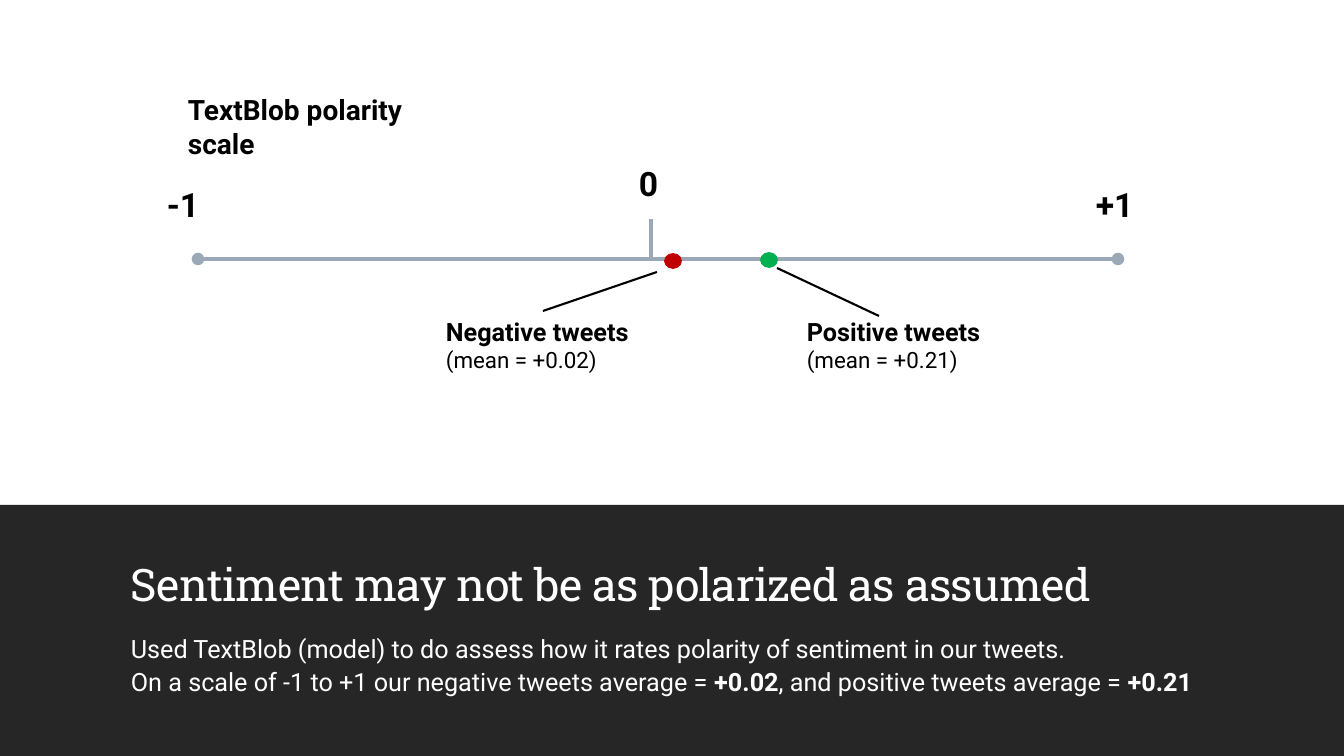
"""Build a slide that places mean tweet sentiment on a polarity scale."""
import lxml.etree
import pptx
import pptx.dml.color
import pptx.enum.shapes
import pptx.enum.text
import pptx.oxml.ns
import pptx.util

PX = 914400 / 100.8
COLORS = {"band": "262626", "light": "FFFFFF", "dark": "000000",
          "axis": "9BA8B7", "negative": "C00000", "positive": "00B050"}
TWEET_GROUPS = [
    {"name": "Negative tweets", "mean": "+0.02", "color": "negative",
     "dot": (508, 166), "label": (279, 223), "leader": (386, 223, 500, 184)},
    {"name": "Positive tweets", "mean": "+0.21", "color": "positive",
     "dot": (604, 165), "label": (640, 223), "leader": (620, 180, 722, 228)},
]


def emu(*lengths):
    """Turn pixel lengths into EMU."""
    return [pptx.util.Emu(round(length * PX)) for length in lengths]


def rgb(name):
    """Look up a named colour."""
    return pptx.dml.color.RGBColor.from_string(COLORS[name])


def add_text(page, box, lines, color="dark", font="Roboto", side=0.1, edge=0.05):
    """Add one paragraph whose lines hold (text, size, bold) spans."""
    frame = page.shapes.add_textbox(*emu(*box)).text_frame
    frame.word_wrap = True
    frame.margin_left = frame.margin_right = pptx.util.Inches(side)
    frame.margin_top = frame.margin_bottom = pptx.util.Inches(edge)
    para = frame.paragraphs[0]
    for index, line in enumerate(lines):
        if index:
            para.add_line_break()
        for text, size, bold in line:
            span = para.add_run()
            span.text = text
            span.font.name = font
            span.font.size = pptx.util.Pt(size)
            span.font.bold = bold
            span.font.color.rgb = rgb(color)
    return frame


def add_solid(page, kind, box, color, outline=0):
    """Add a filled shape with an optional outline in its own colour."""
    shape = page.shapes.add_shape(kind, *emu(*box))
    shape.shadow.inherit = False
    shape.fill.solid()
    shape.fill.fore_color.rgb = rgb(color)
    if outline:
        shape.line.color.rgb = rgb(color)
        shape.line.width = pptx.util.Pt(outline)
    else:
        shape.line.fill.background()


def add_line(page, ends, color, width, oval_ends=False):
    """Add a straight line, with round ends when asked for."""
    line = page.shapes.add_connector(
        pptx.enum.shapes.MSO_CONNECTOR.STRAIGHT, *emu(*ends))
    line.line.color.rgb = rgb(color)
    line.line.width = pptx.util.Pt(width)
    if oval_ends:
        for tag in ("a:headEnd", "a:tailEnd"):
            lxml.etree.SubElement(line.line._get_or_add_ln(),
                                  pptx.oxml.ns.qn(tag), type="oval")
    lxml.etree.SubElement(line._element.spPr, pptx.oxml.ns.qn("a:effectLst"))


def add_polarity_scale(page, box):
    """Draw the axis, its tick labels and the mean of each tweet group."""
    left, top, width, height = box
    axis_y = top + 171
    middle = left + 494
    add_line(page, (left + 41, axis_y, left + width - 39, axis_y), "axis", 3, True)
    add_line(page, (middle, axis_y - 40, middle, axis_y), "axis", 2.25)
    for text, x, y in (("-1", 0, 91), ("+1", width - 71, 91), ("0", 472, 70)):
        add_text(page, (left + x, top + y, 64, 50), [[(text, 24, True)]])
    add_text(page, (left + 21, top, 285, 76),
             [[("TextBlob polarity scale", 20, True)]])
    for group in TWEET_GROUPS:
        dot_x, dot_y = group["dot"]
        label_x, label_y = group["label"]
        x1, y1, x2, y2 = group["leader"]
        add_solid(page, pptx.enum.shapes.MSO_SHAPE.OVAL,
                  (left + dot_x, top + dot_y, 16, 14), group["color"], 1.25)
        add_text(page, (left + label_x, top + label_y, 214, height - label_y),
                 [[(group["name"], 18, True)],
                  [(f"(mean = {group['mean']})", 16, False)]])
        add_line(page, (left + x1, top + y1, left + x2, top + y2), "dark", 1.5)


def add_summary_band(page, box):
    """Draw the dark band with the title and the finding."""
    left, top, width, height = box
    inner = width - 229
    add_solid(page, pptx.enum.shapes.MSO_SHAPE.RECTANGLE, box, "band")
    title = add_text(page, (left + 121, top + 24, inner, 82),
                     [[("Sentiment may not be as polarized as assumed", 32, False)]],
                     "light", "Roboto Slab", edge=0)
    title.vertical_anchor = pptx.enum.text.MSO_ANCHOR.BOTTOM
    title.paragraphs[0].line_spacing = 0.9
    title.paragraphs[0].runs[0].font._element.set("spc", "-50")
    finding = add_text(
        page, (left + 121, top + 125, inner, height - 183),
        [[("Used TextBlob (model) to do assess how it rates polarity of "
           "sentiment in our tweets.", 18, False)],
         [("On a scale of -1 to +1 our negative tweets average = ", 18, False),
          ("+0.02", 18, True),
          (", and positive tweets average = ", 18, False),
          ("+0.21", 18, True)]],
        "light", edge=0)
    finding.paragraphs[0].line_spacing = 1.1
    finding.paragraphs[0].space_after = pptx.util.Pt(6)


def main():
    """Build and save the deck."""
    deck = pptx.Presentation()
    deck.slide_width, deck.slide_height = emu(1344, 756)
    page = deck.slides.add_slide(deck.slide_layouts[6])
    add_summary_band(page, (0, 505, 1344, 251))
    add_polarity_scale(page, (157, 88, 1000, 291))
    deck.save("out.pptx")


if __name__ == "__main__":
    main()
